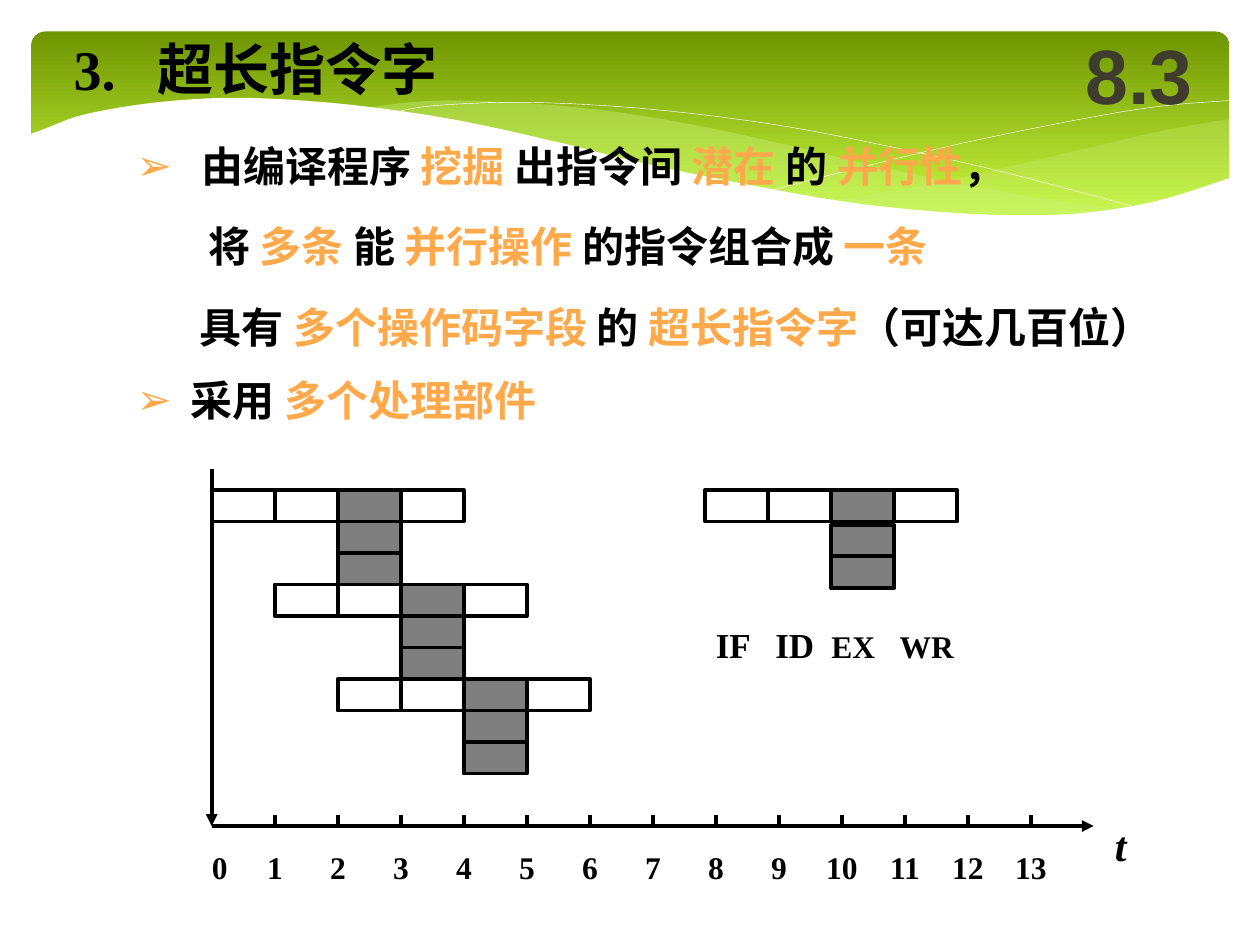
from lxml import etree
from pptx import Presentation
from pptx import util as u
from pptx.dml.color import RGBColor
from pptx.enum import shapes, text
from pptx.oxml.ns import qn

Pt = u.Pt
BLACK = RGBColor(0x00, 0x00, 0x00)
WHITE = RGBColor(0xFF, 0xFF, 0xFF)
ORANGE = RGBColor(0xFF, 0xA9, 0x4A)
DARK_GREEN = RGBColor(0x6F, 0x95, 0x00)
LIME = RGBColor(0xD0, 0xFF, 0x44)
PALE_LIME = RGBColor(0xCA, 0xF2, 0x78)
BROWN = RGBColor(0x3E, 0x3D, 0x2D)
SERIF = "Times New Roman"

# Pipeline chart grid
ORIGIN_X, AXIS_Y = 121, 472
CYCLE, ROW = 36, 18
CHART_TOP = 280
LAST_CYCLE = 13

# Wave edges
RIGHT_WAVE = [
    [(702.5, 68), (663, 75), (620, 85), (542, 103), (476, 115)],
    [(476, 115), (527, 121), (570, 124), (615, 123.5), (657, 116.5), (702.5, 102)],
]
MIDDLE_WAVE = [
    [(643, 120), (581, 111), (508, 96.5), (453, 83.5), (400, 72), (352, 64),
     (302, 59), (248, 57.5), (206, 62)],
    [(206, 62), (261, 70), (323, 83.5), (408, 103), (468, 114), (530, 121.5),
     (589, 124.5), (643, 120)],
]
FALLING_LINE = [(222.5, 65), (247, 60.5), (300, 58.5), (367, 62), (438, 70.5),
                (500, 82), (572, 98), (653, 119.5)]
RISING_LINE = [(441.5, 108.5), (500.5, 93.5), (558.5, 80), (623.5, 67),
               (665, 60.5), (702, 57.5)]
WHITE_EDGE = [(703.5, 101.5), (662.5, 114.5), (621.5, 121.5), (582.5, 123),
              (535.5, 121), (481, 115), (417, 103.5), (362, 92), (322, 82),
              (263, 69), (210, 61), (165.5, 57), (126.5, 56), (85.5, 59),
              (48, 65.5), (26, 73.5), (16.5, 77)]
WHITE_BASE = [(16.5, 161), (703.5, 161)]


def smooth(points, steps=5):
    """Catmull-Rom curve through the points."""
    padded = [points[0], *points, points[-1]]
    curve = []
    for a, b, c, d in zip(padded, padded[1:], padded[2:], padded[3:]):
        for step in range(steps):
            t = step / steps
            curve.append(tuple(
                0.5 * (2 * q + (r - p) * t + (2 * p - 5 * q + 4 * r - s) * t ** 2
                       + (3 * q - p - 3 * r + s) * t ** 3)
                for p, q, r, s in zip(a, b, c, d)))
    return curve + [points[-1]]


def set_alpha(shape, percent):
    color = shape.fill._xPr.find(qn("a:solidFill"))[0]
    etree.SubElement(color, qn("a:alpha"), val=str(percent * 1000))


def add_wave(slide, points, fill=None, alpha=100):
    """A filled outline, or a thin white curve when there is no fill."""
    (x, y), *rest = [(Pt(x), Pt(y)) for x, y in points]
    builder = slide.shapes.build_freeform(x, y)
    builder.add_line_segments(rest, close=fill is not None)
    shape = builder.convert_to_shape()
    shape.shadow.inherit = False
    if fill is None:
        shape.fill.background()
        shape.line.color.rgb = WHITE
        shape.line.width = Pt(0.25)
        return
    shape.fill.solid()
    shape.fill.fore_color.rgb = fill
    shape.line.fill.background()
    if alpha < 100:
        set_alpha(shape, alpha)


def add_banner(slide):
    banner = slide.shapes.add_shape(
        shapes.MSO_SHAPE.ROUNDED_RECTANGLE, Pt(18), Pt(18), Pt(684.5), Pt(112.5))
    banner.adjustments[0] = 0.07
    banner.shadow.inherit = False
    banner.line.fill.background()
    banner.fill.gradient()
    banner.fill.gradient_angle = 270
    for stop, color in zip(banner.fill.gradient_stops, (DARK_GREEN, LIME)):
        stop.color.rgb = color
    add_wave(slide, smooth(RIGHT_WAVE[0]) + smooth(RIGHT_WAVE[1]), PALE_LIME, 29)
    add_wave(slide, smooth(MIDDLE_WAVE[0]) + smooth(MIDDLE_WAVE[1]), PALE_LIME, 40)
    add_wave(slide, smooth(FALLING_LINE))
    add_wave(slide, smooth(RISING_LINE))
    add_wave(slide, smooth(WHITE_EDGE) + WHITE_BASE, WHITE)


def add_run(paragraph, words, size, color=BLACK, font=SERIF, italic=False):
    run = paragraph.add_run()
    run.text = words
    run.font.name, run.font.size = font, Pt(size)
    run.font.bold, run.font.italic = True, italic
    run.font.color.rgb = color


def set_tabs(paragraph, positions, align="l"):
    tabs = etree.SubElement(paragraph._p.get_or_add_pPr(), qn("a:tabLst"))
    for position in positions:
        etree.SubElement(tabs, qn("a:tab"), pos=str(Pt(position)), algn=align)


def set_bullet(paragraph, hanging, bullet):
    properties = paragraph._p.get_or_add_pPr()
    properties.set("marL", str(Pt(hanging)))
    properties.set("indent", str(-Pt(hanging) if bullet else 0))
    if bullet:
        color = etree.SubElement(properties, qn("a:buClr"))
        etree.SubElement(color, qn("a:srgbClr"), val=str(ORANGE))
        etree.SubElement(properties, qn("a:buChar"), char="➢")
    else:
        etree.SubElement(properties, qn("a:buNone"))


def place(slide, shape, left, top, width, height):
    """Move a placeholder in front of the banner and drop its side margins."""
    slide.shapes.element.append(shape.element)
    shape.left, shape.top = Pt(left), Pt(top)
    shape.width, shape.height = Pt(width), Pt(height)
    frame = shape.text_frame
    frame.margin_left = frame.margin_right = 0
    frame.auto_size = text.MSO_AUTO_SIZE.NONE
    return frame


def add_title(slide):
    frame = place(slide, slide.shapes.title, 42, 18, 216, 42)
    frame.vertical_anchor = text.MSO_ANCHOR.MIDDLE
    paragraph = frame.paragraphs[0]
    paragraph.alignment = text.PP_ALIGN.LEFT
    set_tabs(paragraph, [48])
    add_run(paragraph, "3.\t超长指令字", 32)


def add_points(slide):
    """Each line: bullet, text indent, line pitch, runs (odd ones in orange)."""
    lines = [
        (True, 37, 46, ["由编译程序 ", "挖掘 ", "出指令间 ", "潜在 ", "的 ", "并行性", "，"]),
        (False, 41, 46, ["将 ", "多条 ", "能 ", "并行操作 ", "的指令组合成 ", "一条"]),
        (False, 36, 46, ["具有 ", "多个操作码字段 ", "的 ", "超长指令字", "（可达几百位）"]),
        (True, 31, 42, ["采用 ", "多个处理部件"]),
    ]
    frame = place(slide, slide.placeholders[1], 78, 63, 606, 180)
    frame.margin_top = frame.margin_bottom = 0
    frame.vertical_anchor = text.MSO_ANCHOR.TOP
    for index, (bullet, indent, pitch, words) in enumerate(lines):
        paragraph = frame.add_paragraph() if index else frame.paragraphs[0]
        set_bullet(paragraph, indent, bullet)
        paragraph.space_before = Pt(0)
        paragraph.line_spacing = Pt(pitch)
        for position, part in enumerate(words):
            add_run(paragraph, part, 24, ORANGE if position % 2 else BLACK)


def add_label(slide, left, top, width, height):
    box = slide.shapes.add_textbox(Pt(left), Pt(top), Pt(width), Pt(height))
    box.text_frame.word_wrap = True
    return box.text_frame.paragraphs[0]


def add_cell(slide, left, top, shaded):
    cell = slide.shapes.add_shape(
        shapes.MSO_SHAPE.RECTANGLE, Pt(left), Pt(top), Pt(CYCLE), Pt(ROW))
    cell.shadow.inherit = False
    cell.line.color.rgb = BLACK
    cell.line.width = Pt(2.25)
    if shaded:
        cell.fill.solid()
        cell.fill.fore_color.rgb = BLACK
        set_alpha(cell, 50)
    else:
        cell.fill.background()


def add_instruction(slide, left, top, gap=0):
    """Four stages in a row; the third has two more units below it."""
    for stage in range(4):
        add_cell(slide, left + stage * CYCLE, top, stage == 2)
    for unit in (1, 2):
        add_cell(slide, left + 2 * CYCLE, top + unit * ROW + gap, True)


def add_line(slide, x1, y1, x2, y2, arrow=False):
    line = slide.shapes.add_connector(
        shapes.MSO_CONNECTOR.STRAIGHT, Pt(x1), Pt(y1), Pt(x2), Pt(y2))
    line.line.color.rgb = BLACK
    line.line.width = Pt(2.25)
    if arrow:
        etree.SubElement(line.line._get_or_add_ln(), qn("a:tailEnd"), type="triangle")
    etree.SubElement(line.element.spPr, qn("a:effectLst"))


def add_axes(slide):
    cycles = range(1, LAST_CYCLE + 1)
    add_line(slide, ORIGIN_X, 268, ORIGIN_X, AXIS_Y, arrow=True)
    add_line(slide, ORIGIN_X, AXIS_Y, ORIGIN_X + (LAST_CYCLE + 1) * CYCLE, AXIS_Y, arrow=True)
    for cycle in cycles:
        x = ORIGIN_X + cycle * CYCLE
        add_line(slide, x, AXIS_Y - 6, x, AXIS_Y)
    numbers = add_label(slide, 114, 481, 506, 29)
    set_tabs(numbers, [cycle * CYCLE for cycle in cycles], "ctr")
    add_run(numbers, "\t".join(str(n) for n in range(LAST_CYCLE + 1)), 18)
    add_run(add_label(slide, 630, 465, 28, 36), "t", 24, italic=True)


def main():
    presentation = Presentation()
    presentation.slide_width, presentation.slide_height = Pt(720), Pt(540)
    slide = presentation.slides.add_slide(presentation.slide_layouts[1])
    # Banner and text
    add_banner(slide)
    add_title(slide)
    add_points(slide)
    # Pipeline chart
    for index in range(3):
        add_instruction(slide, ORIGIN_X + index * CYCLE, CHART_TOP + index * 3 * ROW)
    add_axes(slide)
    # Stage legend
    add_instruction(slide, 403, CHART_TOP, gap=2)
    stages = add_label(slide, 402, 353, 160, 32)
    set_tabs(stages, [34, 66, 105])
    add_run(stages, "IF\tID\t", 20)
    add_run(stages, "EX\tWR", 18)
    # Section number
    section = add_label(slide, 606, 12, 90, 66)
    section.alignment = text.PP_ALIGN.CENTER
    add_run(section, "8.3", 44, BROWN, "Arial")
    presentation.save("out.pptx")


if __name__ == "__main__":
    main()
